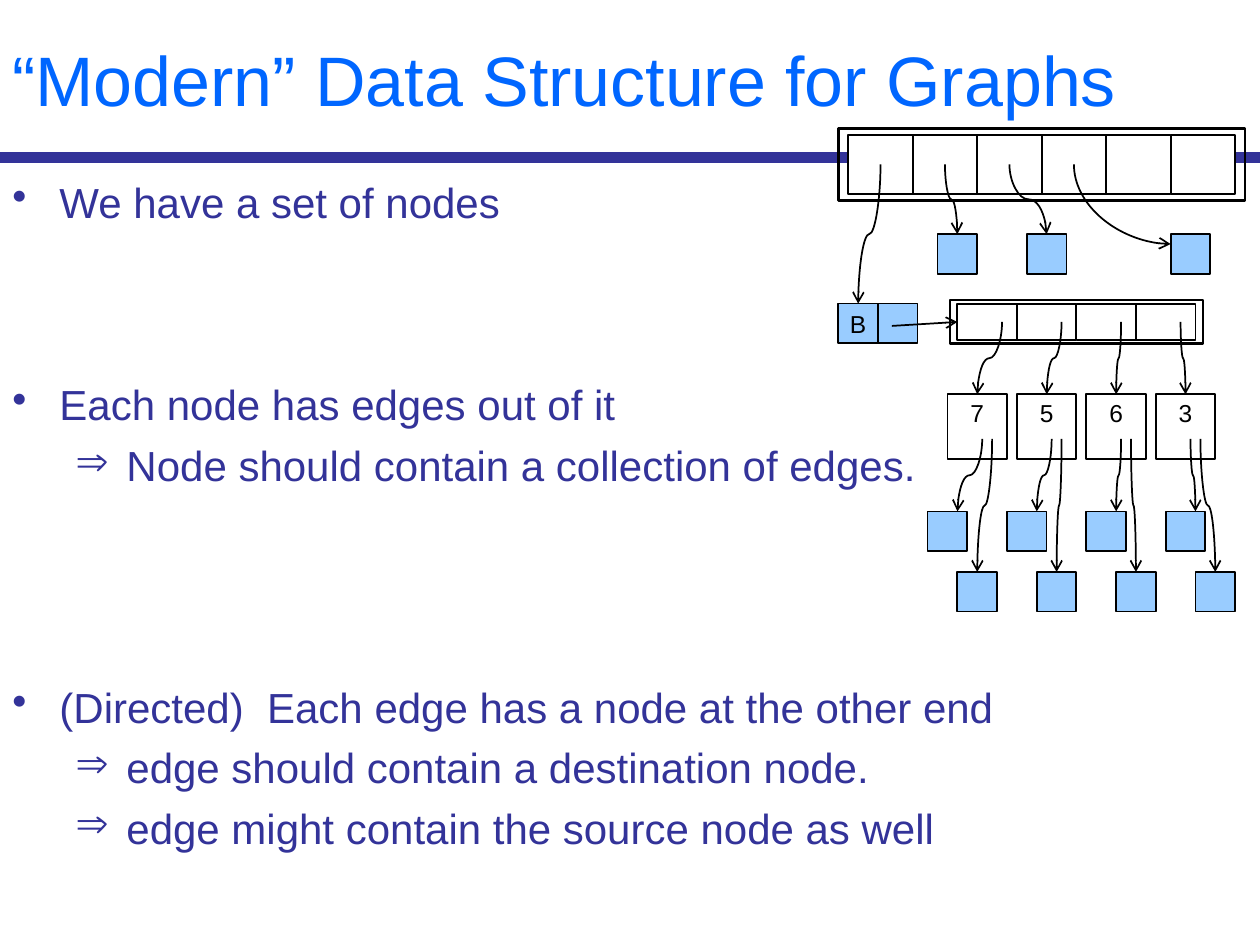
from lxml import etree
from pptx import Presentation
from pptx import util as u
from pptx.dml import color
from pptx.enum import shapes, text
from pptx.oxml import ns

COLORS = {"title": "0066FF", "body": "333399", "node": "99CCFF",
          "paper": "FFFFFF", "ink": "000000"}
FONT = "Arial"
NODE = 0.8
BODY = [
    (0, 0, "We have a set of nodes"),
    (0, 87, "Each node has edges out of it"),
    (1, 6, "Node should contain a collection of edges."),
    (0, 109, "(Directed)  Each edge has a node at the other end"),
    (1, 6, "edge should contain a destination node."),
    (1, 6, "edge might contain the source node as well"),
]
BULLETS = [("•", 0.95, -0.95), ("⇒", 2.3, -1.03)]


def rgb(name):
    return color.RGBColor.from_string(COLORS[name])


def add_run(p, words, size, name):
    r = p.add_run()
    r.text = words
    r.font.name = FONT
    r.font.size = u.Pt(size)
    r.font.color.rgb = rgb(name)


def add_rect(s, x, y, w, h, fill=None, weight=1):
    sp = s.shapes.add_shape(shapes.MSO_SHAPE.RECTANGLE, *map(u.Cm, (x, y, w, h)))
    sp.shadow.inherit = False
    if fill:
        sp.fill.solid()
        sp.fill.fore_color.rgb = rgb(fill)
    else:
        sp.fill.background()
    sp.line.color.rgb = rgb("ink")
    sp.line.width = u.Pt(weight)
    return sp


def add_label(sp, words, anchor, inset=0):
    tf = sp.text_frame
    tf.margin_left = tf.margin_right = tf.margin_bottom = 0
    tf.margin_top = u.Cm(inset)
    tf.word_wrap = False
    tf.vertical_anchor = anchor
    p = tf.paragraphs[0]
    p.alignment = text.PP_ALIGN.CENTER
    add_run(p, words, 14, "ink")


def add_line(s, kind, x1, y1, x2, y2, name="ink", weight=1, arrow=True):
    c = s.shapes.add_connector(kind, *map(u.Cm, (x1, y1, x2, y2)))
    c.line.color.rgb = rgb(name)
    c.line.width = u.Pt(weight)
    if arrow:
        etree.SubElement(c.line._get_or_add_ln(), ns.qn("a:tailEnd"), type="arrow")
    etree.SubElement(c._element.spPr, ns.qn("a:effectLst"))
    return c


def add_curve(s, start, end, preset="curvedConnector3"):
    (x1, y1), (x2, y2) = start, end
    cx, cy = (x1 + x2) / 2, (y1 + y2) / 2
    half_w, half_h = (y2 - y1) / 2, abs(x2 - x1) / 2
    rightward = x2 > x1
    if rightward:
        half_w = -half_w
    c = add_line(s, shapes.MSO_CONNECTOR.CURVE,
                 cx - half_w, cy - half_h, cx + half_w, cy + half_h)
    spPr = c._element.spPr
    spPr.find(ns.qn("a:xfrm")).set("rot", "16200000" if rightward else "5400000")
    spPr.find(ns.qn("a:prstGeom")).set("prst", preset)


def add_textbox(s, x, y, w, h):
    tf = s.shapes.add_textbox(*map(u.Cm, (x, y, w, h))).text_frame
    tf.word_wrap = True
    return tf


def add_title(s, x, y, w, h):
    add_line(s, shapes.MSO_CONNECTOR.STRAIGHT, x, y + h, x + w, y + h,
             "body", 6, arrow=False)
    tf = add_textbox(s, x, y, w, h)
    tf.vertical_anchor = text.MSO_ANCHOR.MIDDLE
    add_run(tf.paragraphs[0], "“Modern” Data Structure for Graphs", 40, "title")


def add_body(s, x, y, w, h):
    tf = add_textbox(s, x, y, w, h)
    for i, (level, before, words) in enumerate(BODY):
        p = tf.add_paragraph() if i else tf.paragraphs[0]
        p.level = level
        char, margin, indent = BULLETS[level]
        pPr = p._p.get_or_add_pPr()
        pPr.set("marL", str(u.Cm(margin)))
        pPr.set("indent", str(u.Cm(indent)))
        etree.SubElement(pPr, ns.qn("a:buChar"), char=char)
        p.space_before = u.Pt(before)
        add_run(p, words, 24, "body")


def add_row(s, x, y, w, h, count, pad_x, pad_y):
    cell_w, cell_h = (w - 2 * pad_x) / count, h - 2 * pad_y
    cells = [add_rect(s, x + pad_x + i * cell_w, y + pad_y, cell_w, cell_h, "paper")
             for i in range(count)]
    add_rect(s, x, y, w, h, weight=1.5)
    centers = [(x + pad_x + (i + 0.5) * cell_w, y + h / 2) for i in range(count)]
    return cells, centers


def add_node_array(s, x, y, w, h):
    centers = add_row(s, x, y, w, h, 6, 0.2, 0.13)[1]
    top = y + 2.13
    for dx in (2, 3.8, 6.7):
        add_rect(s, x + dx, top, NODE, NODE, "node")
    add_curve(s, centers[0], (x + NODE / 2, y + 3.53))
    add_curve(s, centers[1], (x + 2 + NODE / 2, top))
    add_curve(s, centers[2], (x + 3.8 + NODE / 2, top))
    add_curve(s, centers[3], (x + 6.7, top + 0.2), "curvedConnector2")


def add_node_edges(s, x, y, w, h):
    label = add_rect(s, x, y, NODE, NODE, "node")
    add_label(label, "B", text.MSO_ANCHOR.MIDDLE)
    add_rect(s, x + NODE, y, NODE, NODE, "node")
    cells, centers = add_row(s, x + 2.25, y - 0.07, w - 2.25, h, 4, 0.15, 0.08)
    link = add_line(s, shapes.MSO_CONNECTOR.STRAIGHT,
                    x + 1.08, y + 0.45, x + 2.4, y + 0.35)
    link.end_connect(cells[0], 1)
    return [(cx + 0.3, cy) for cx, cy in centers]


def add_edges(s, x, y, w, h, starts):
    gap = 0.2
    edge_w = (w - 3 * gap) / 4
    for i, (weight, start) in enumerate(zip("7563", starts)):
        left = x + i * (edge_w + gap)
        edge = add_rect(s, left, y, edge_w, h, "paper")
        add_label(edge, weight, text.MSO_ANCHOR.TOP, 0.08)
        add_curve(s, start, (left + edge_w / 2, y))
        near, far = x - 0.4 + 2 * NODE * i, x + 0.2 + 2 * NODE * i
        add_rect(s, near, y + 2.36, NODE, NODE, "node")
        add_rect(s, far, y + 3.58, NODE, NODE, "node")
        add_curve(s, (left + 0.7, y + 0.9), (near + 0.6, y + 2.36))
        add_curve(s, (left + 0.9, y + 0.9), (far + NODE / 2, y + 3.58))


def main():
    prs = Presentation()
    prs.slide_width, prs.slide_height = u.Cm(25.4), u.Cm(19.05)
    s = prs.slides.add_slide(prs.slide_layouts[6])
    add_title(s, 0, 0, 25.4, 3.18)
    add_body(s, 0, 3.43, 25.4, 15.6)
    add_node_array(s, 16.9, 2.59, 8.2, 1.45)
    starts = add_node_edges(s, 16.9, 6.12, 7.35, 0.88)
    add_edges(s, 19.1, 7.95, 5.4, 1.3, starts)
    prs.save("out.pptx")


if __name__ == "__main__":
    main()
